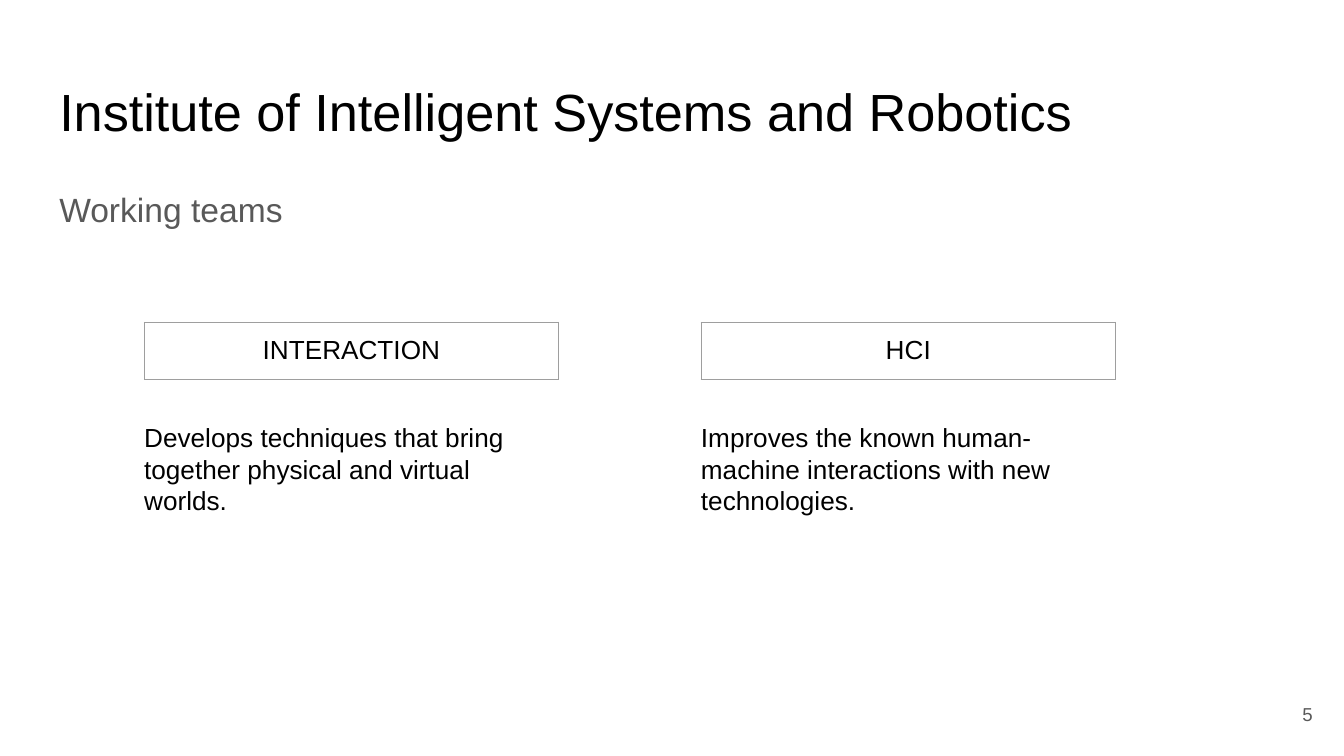
"""Build the slide that presents the working teams of the institute."""
from dataclasses import dataclass

from lxml.etree import SubElement
from pptx import Presentation
from pptx.dml.color import RGBColor
from pptx.enum.text import MSO_ANCHOR as Anchor, MSO_AUTO_SIZE as AutoSize, PP_ALIGN as Align
from pptx.oxml.ns import qn
from pptx.util import Inches, Pt

BLACK = RGBColor(0x00, 0x00, 0x00)
GRAY = RGBColor(0x59, 0x59, 0x59)
BORDER = RGBColor(0x9E, 0x9E, 0x9E)
FONT = "Arial"
WIDTH = Inches(10)
HEIGHT = WIDTH * 9 // 16
INSET = Inches(0.1)
FIRST_COLUMN, COLUMN_STEP = 9.74, 41.43


@dataclass(frozen=True)
class Box:
    """Place and size in percent of the slide."""
    left: float
    top: float
    width: float
    height: float

    def emu(self) -> tuple[int, int, int, int]:
        """Return the lengths in EMU."""
        return (round(self.left * WIDTH / 100), round(self.top * HEIGHT / 100),
                round(self.width * WIDTH / 100), round(self.height * HEIGHT / 100))


@dataclass(frozen=True)
class Team:
    """A working team and what it does."""
    name: str
    purpose: str


TEAMS = (
    Team("INTERACTION", "Develops techniques that bring together physical and virtual worlds."),
    Team("HCI", "Improves the known human-machine interactions with new technologies."),
)


def write(tf, text: str, size: float, color: RGBColor, align=Align.LEFT):
    """Add one formatted run to the first paragraph and return the paragraph."""
    p = tf.paragraphs[0]
    p.alignment = align
    r = p.add_run()
    r.text = text
    r.font.name, r.font.size, r.font.color.rgb = FONT, Pt(size), color
    return p


def place(sp, box: Box, anchor=Anchor.TOP):
    """Move a text shape, set its frame and return the frame."""
    sp.left, sp.top, sp.width, sp.height = box.emu()
    tf = sp.text_frame
    tf.word_wrap, tf.auto_size, tf.vertical_anchor = True, AutoSize.NONE, anchor
    tf.margin_left = tf.margin_right = tf.margin_top = tf.margin_bottom = INSET
    return tf


def add_text(s, box: Box, anchor=Anchor.TOP):
    """Add a text box and return its frame."""
    return place(s.shapes.add_textbox(*box.emu()), box, anchor)


def add_name(s, box: Box, name: str) -> None:
    """Add a one-cell bordered table that holds a team name."""
    table = s.shapes.add_table(1, 1, *box.emu()).table
    table.first_row = table.horz_banding = False
    cell = table.cell(0, 0)
    cell.margin_left = cell.margin_right = cell.margin_top = cell.margin_bottom = INSET
    tc_pr = cell._tc.get_or_add_tcPr()
    for side in ("a:lnL", "a:lnR", "a:lnT", "a:lnB"):
        ln = SubElement(tc_pr, qn(side), w=str(Pt(0.75)))
        SubElement(SubElement(ln, qn("a:solidFill")), qn("a:srgbClr"), val=str(BORDER))
    cell.fill.background()
    write(cell.text_frame, name, 14, BLACK, Align.CENTER)


def add_team(s, column: int, team: Team) -> None:
    """Draw the name and purpose of a team in its column."""
    left = FIRST_COLUMN + column * COLUMN_STEP
    add_name(s, Box(left + 1.01, 42.65, 30.8, 7.55), team.name)
    write(add_text(s, Box(left, 54, 32.8, 23.64)), team.purpose, 14, BLACK)


def main() -> None:
    """Build and save the slide."""
    prs = Presentation()
    prs.slide_width, prs.slide_height = WIDTH, HEIGHT
    s = prs.slides.add_slide(prs.slide_layouts[1])
    title, body = s.placeholders
    write(place(title, Box(3.41, 8.65, 93.2, 11.2)),
          "Institute of Intelligent Systems and Robotics", 28, BLACK)

    tf = place(body, Box(3.41, 22.4, 93.2, 10))
    p_pr = tf.paragraphs[0]._p.get_or_add_pPr()
    p_pr.set("marL", "0")
    p_pr.set("indent", "0")
    SubElement(p_pr, qn("a:buNone"))
    p = write(tf, "Working teams", 18, GRAY)
    p.line_spacing, p.space_before = 1.15, Pt(0)

    for column, team in enumerate(TEAMS):
        add_team(s, column, team)
    write(add_text(s, Box(92.65, 90.66, 6, 7.65), Anchor.MIDDLE), "5", 10, GRAY, Align.RIGHT)
    prs.save("out.pptx")


if __name__ == "__main__":
    main()
